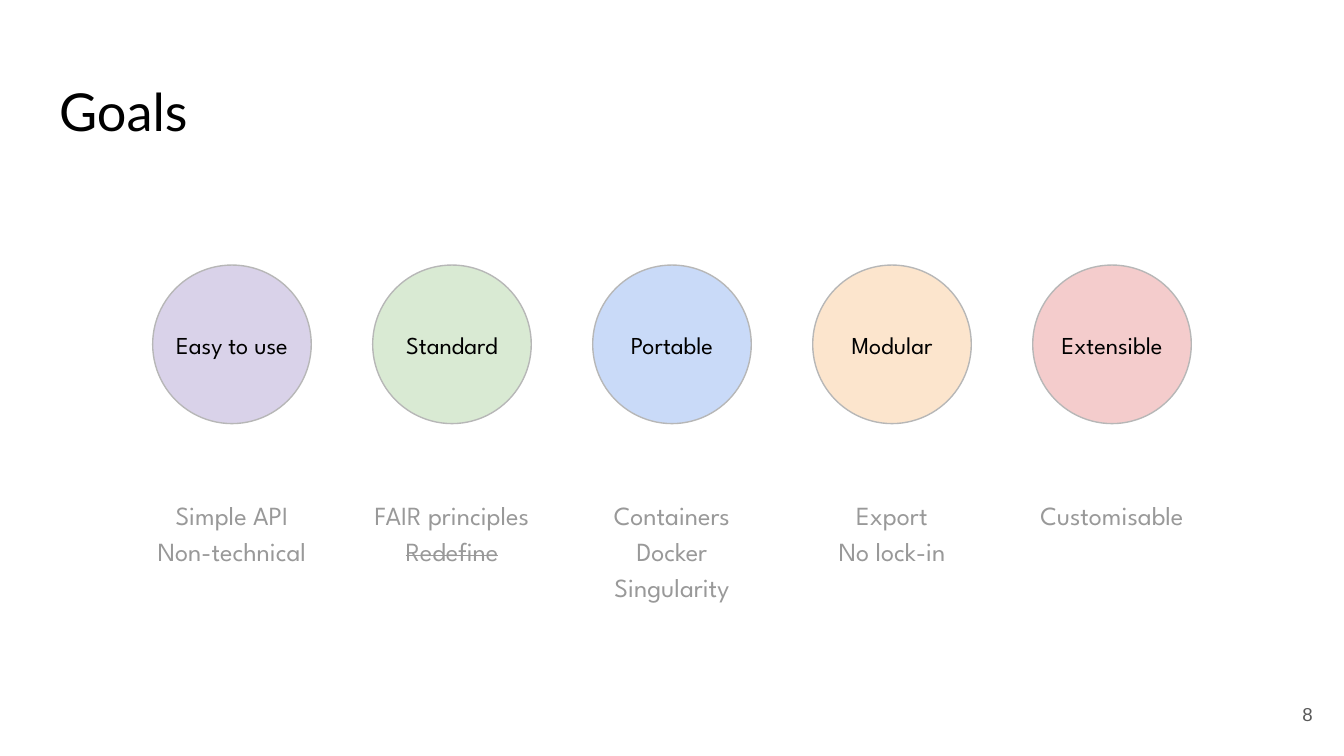
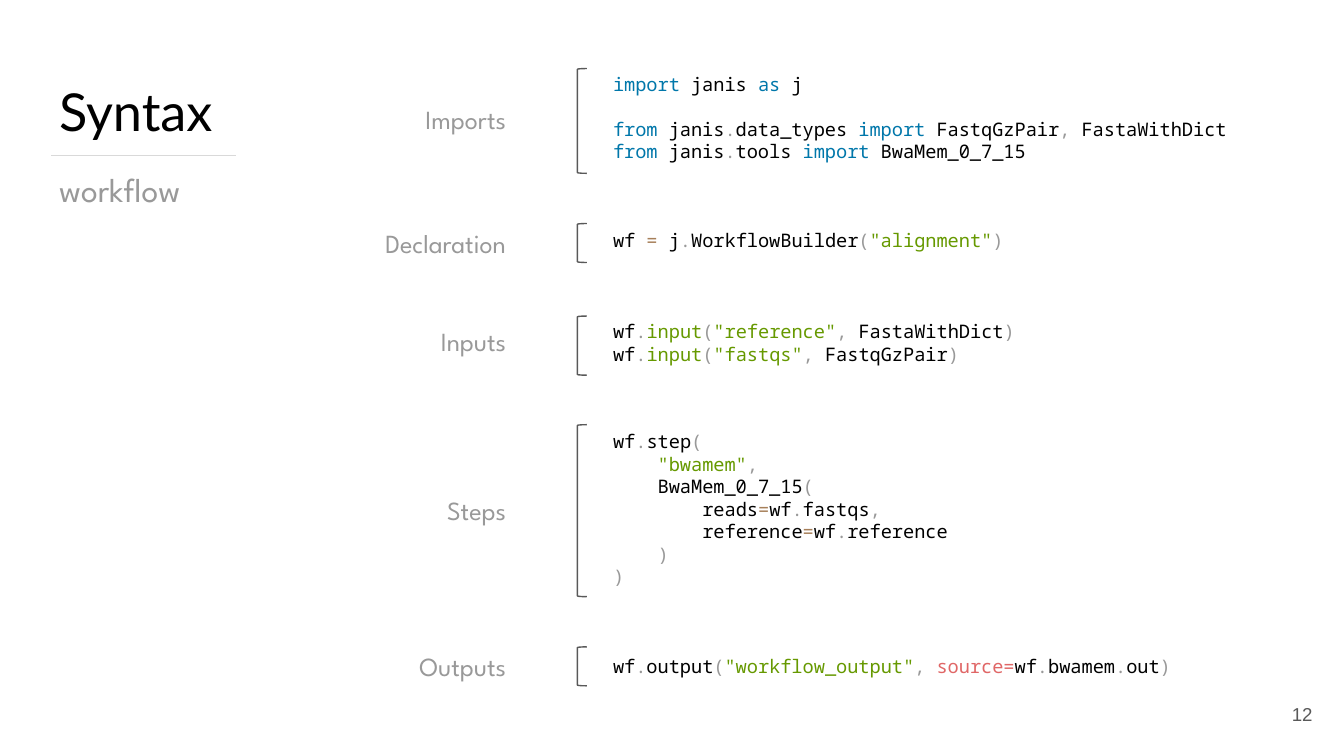
"""Build two slides: the goals of a workflow tool and its syntax."""
from itertools import groupby

from lxml.etree import SubElement
from pptx import Presentation
from pptx.dml.color import RGBColor
from pptx.enum.shapes import MSO_CONNECTOR as Link, MSO_SHAPE as Shape
from pptx.enum.text import MSO_ANCHOR as Anchor, MSO_AUTO_SIZE as Fit, PP_ALIGN as Align
from pptx.oxml.ns import qn
from pptx.util import Inches, Pt


class Theme:
    """Colours, and text styles as face, size and colour."""
    black, grey, dark = "000000", "999999", "595959"
    edge, rule = "B7B7B7", "D9D9D9"
    blue, green, brown, red = "0077AA", "669900", "A67F59", "E06666"
    title = ("Lato", 28, black)
    sub = ("League Spartan", 18, grey)
    note = ("League Spartan", 14, grey)
    disc = ("League Spartan", 13, black)
    code = ("Noto Sans Mono", 10, black)
    page = ("Arial", 10, dark)
    line = Pt(0.75)


cell = Inches(0.1)
cols, rows = 100, 56.25


def grid(*spans):
    """Turn columns and rows into lengths."""
    return [round(span * cell) for span in spans]


def write(shape, text, style, align=Align.LEFT, anchor=Anchor.TOP, side=1):
    """Fill a shape with text in one style."""
    frame = shape.text_frame
    frame.text = text
    frame.word_wrap, frame.auto_size = True, Fit.NONE
    frame.vertical_anchor = anchor
    frame.margin_top = frame.margin_bottom = cell
    frame.margin_left = frame.margin_right = round(side * cell)
    face, size, ink = style
    for para in frame.paragraphs:
        para.alignment = align
        for gap in para._p.findall(qn("a:br")):
            SubElement(gap, qn("a:rPr")).set("sz", str(size * 100))
        for run in para.runs:
            run.font.name, run.font.size = face, Pt(size)
            run.font.color.rgb = RGBColor.from_string(ink)
    return frame


deck = Presentation()
deck.slide_width, deck.slide_height = grid(cols, rows)

slides = []
for name, page, wide, high in [("Goals", "8", 93.2, 6.3),
                               ("Syntax\nworkflow", "12", 22.4, 16.9)]:
    slide = deck.slides.add_slide(deck.slide_layouts[5])
    title = slide.shapes.title
    title.left, title.top, title.width, title.height = grid(3.4, 4.9, wide, high)
    write(title, name, Theme.title)
    box = slide.shapes.add_textbox(*grid(92.65, 51, 6, 4.3))
    write(box, page, Theme.page, Align.RIGHT, Anchor.MIDDLE)
    slides.append(slide)
goals, syntax = slides

size, pitch = 11.8, 16.37
aims = [
    ("Easy to use", "D9D2E9", 14.3, 8.1, "Simple API\vNon-technical"),
    ("Standard", "D9EAD3", 15.9, 8.1, "FAIR principles\vRedefine"),
    ("Portable", "C9DAF8", 11.8, 9.7, "Containers\vDocker\vSingularity"),
    ("Modular", "FCE5CD", 11.8, 8.1, "Export\vNo lock-in"),
    ("Extensible", "F4CCCC", 14.3, 8.1, "Customisable"),
]
for spot, (aim, fill, wide, high, notes) in enumerate(aims):
    mid = cols / 2 + (spot - len(aims) // 2) * pitch
    disc = goals.shapes.add_shape(Shape.OVAL, *grid(mid - size / 2, 19.72, size, size))
    disc.shadow.inherit = False
    disc.fill.solid()
    disc.fill.fore_color.rgb = RGBColor.from_string(fill)
    disc.line.color.rgb = RGBColor.from_string(Theme.edge)
    disc.line.width = Theme.line
    write(disc, aim, Theme.disc, Align.CENTER, Anchor.MIDDLE, 0)
    box = goals.shapes.add_textbox(*grid(mid - wide / 2, 35.8, wide, high))
    para = write(box, notes, Theme.note, Align.CENTER).paragraphs[0]
    para.line_spacing = 1.15
    for run in para.runs:
        if run.text == "Redefine":
            run.font._element.set("strike", "sngStrike")

sub = syntax.shapes.title.text_frame.paragraphs[1]
sub.space_before = Pt(14.5)
face, size, ink = Theme.sub
font = sub.runs[0].font
font.name, font.size = face, Pt(size)
font.color.rgb = RGBColor.from_string(ink)

rule = syntax.shapes.add_connector(Link.STRAIGHT, *grid(3.8, 11.56, 17.56, 11.56))
rule.line.color.rgb = RGBColor.from_string(Theme.rule)
rule.line.width = Theme.line
SubElement(rule._element.spPr, qn("a:effectLst"))

inks = {"import": Theme.blue, "from": Theme.blue, "as": Theme.blue,
        "input": Theme.green}
parts = [
    ("Imports", 6.7, 4.4, 5.1, 7.8, 49.6, 8.4, """import janis as j
from janis.data_types import FastqGzPair, FastaWithDict
from janis.tools import BwaMem_0_7_15"""),
    ("Declaration", 15.9, 16, 16.63, 2.9, 31.2, 3.8,
     'wf = j.WorkflowBuilder("alignment")'),
    ("Inputs", 23.2, 22.82, 23.52, 4.4, 32.8, 5.9, """wf.input("reference", FastaWithDict)
wf.input("fastqs", FastqGzPair)"""),
    ("Steps", 35.8, 31.02, 31.6, 12.8, 29.2, 14, """wf.step(
    "bwamem",
    BwaMem_0_7_15(
        reads=wf.fastqs,
        reference=wf.reference
    )
)"""),
    ("Outputs", 47.42, 47.73, 48.13, 2.9, 44.4, 3.8,
     'wf.output("workflow_output", source=wf.bwamem.out)'),
]
for label, head, top, start, high, wide, tall, code in parts:
    brace = syntax.shapes.add_shape(Shape.LEFT_BRACKET, *grid(42.96, start, 0.7, high))
    brace.adjustments[0] = 0.08
    brace.shadow.inherit = False
    brace.fill.background()
    brace.line.color.rgb = RGBColor.from_string(Theme.dark)
    brace.line.width = Theme.line

    box = syntax.shapes.add_textbox(*grid(26.25, head, 12.4, 4.4))
    write(box, label, Theme.note, Align.RIGHT)

    box = syntax.shapes.add_textbox(*grid(44.63, top, wide, tall))
    frame = write(box, code, Theme.code)
    if label == "Imports":
        frame.paragraphs[1].space_before = Pt(12)
    for para in frame.paragraphs:
        text, last = para.text, ""
        para.clear()
        for word, signs in groupby(text, lambda sign: sign.isalnum() or sign in '_"'):
            part = "".join(signs)
            if "source" in (part, last):
                ink = Theme.red
            elif word:
                ink = Theme.green if part[0] == '"' else inks.get(part, Theme.black)
            else:
                ink = Theme.brown if "=" in part else Theme.grey
            run = para.add_run()
            run.text = last = part
            run.font.name, run.font.size = Theme.code[0], Pt(Theme.code[1])
            run.font.color.rgb = RGBColor.from_string(ink)

deck.save("out.pptx")
